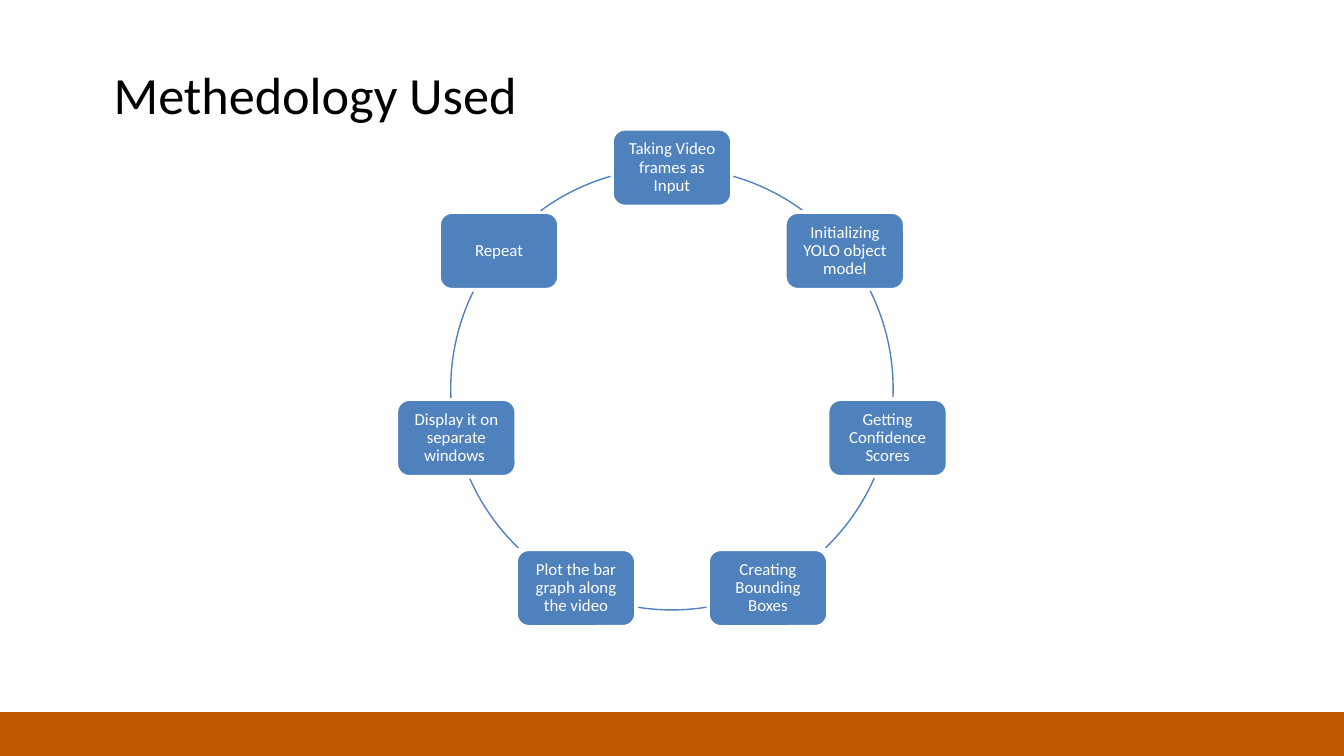
"""Build a slide that shows the seven steps of a method as a cycle."""
import math

import pptx
import pptx.dml.color
import pptx.enum.shapes
import pptx.enum.text
import pptx.util

Cm = pptx.util.Cm
Pt = pptx.util.Pt
SHAPES = pptx.enum.shapes.MSO_SHAPE

STEPS = [
    "Taking Video frames as Input",
    "Initializing YOLO object model",
    "Getting Confidence Scores",
    "Creating Bounding Boxes",
    "Plot the bar graph along the video",
    "Display it on separate windows ",
    "Repeat",
]
SLIDE_WIDTH, SLIDE_HEIGHT = 25.4, 14.29
CENTER_X, CENTER_Y, RADIUS = 12.7, 7.35, 4.18
STEP_WIDTH, STEP_HEIGHT, GAP = 2.27, 1.47, 0.02


def color(code):
    return pptx.dml.color.RGBColor.from_string(code)


def write(frame, text, size=9, ink="FFFFFF", font="Calibri", align="CENTER",
          anchor="MIDDLE", spacing=0.9, inset=(0.1, 0.1)):
    frame.word_wrap = True
    frame.vertical_anchor = getattr(pptx.enum.text.MSO_ANCHOR, anchor)
    frame.margin_left = frame.margin_right = Cm(inset[0])
    frame.margin_top = frame.margin_bottom = Cm(inset[1])
    paragraph = frame.paragraphs[0]
    paragraph.alignment = getattr(pptx.enum.text.PP_ALIGN, align)
    paragraph.line_spacing = spacing
    run = paragraph.add_run()
    run.text = text
    run.font.size = Pt(size)
    run.font.name = font
    run.font.color.rgb = color(ink)


def ring_point(degrees):
    angle = math.radians(degrees)
    return CENTER_X + RADIUS * math.cos(angle), CENTER_Y + RADIUS * math.sin(angle)


def ring_exit(degrees, direction):
    x, y = ring_point(degrees)
    angle = degrees
    while True:
        ring_x, ring_y = ring_point(angle)
        if (abs(ring_x - x) > STEP_WIDTH / 2 + GAP
                or abs(ring_y - y) > STEP_HEIGHT / 2 + GAP):
            return angle
        angle += direction * 0.1


class CycleSlide:
    accent = "4F81BD"
    band = "BF5700"
    paper = "FFFFFF"

    def __init__(self, presentation):
        self.slide = presentation.slides.add_slide(presentation.slide_layouts[6])

    def shape(self, kind, left, top, width, height, fill=None, line=None, weight=1):
        shape = self.slide.shapes.add_shape(
            kind, Cm(left), Cm(top), Cm(width), Cm(height))
        shape.shadow.inherit = False
        if fill:
            shape.fill.solid()
            shape.fill.fore_color.rgb = color(fill)
        else:
            shape.fill.background()
        if line:
            shape.line.color.rgb = color(line)
            shape.line.width = Pt(weight)
        else:
            shape.line.fill.background()
        return shape

    def footer(self, top):
        self.shape(SHAPES.RECTANGLE, 0, top, SLIDE_WIDTH, SLIDE_HEIGHT - top,
                   fill=self.band)

    def title(self, text):
        heading = self.slide.shapes.add_textbox(
            Cm(1.9), Cm(1.04), Cm(12.27), Cm(1.45))
        write(heading.text_frame, text, size=28, ink="000000", align="LEFT",
              anchor="TOP", spacing=1.0, inset=(0.25, 0.13))

    def step(self, text, degrees):
        x, y = ring_point(degrees)
        step = self.shape(SHAPES.ROUNDED_RECTANGLE, x - STEP_WIDTH / 2,
                          y - STEP_HEIGHT / 2, STEP_WIDTH, STEP_HEIGHT,
                          fill=self.accent, line=self.paper, weight=2)
        write(step.text_frame, text)

    def link(self, start, end):
        link = self.shape(SHAPES.ARC, CENTER_X - RADIUS, CENTER_Y - RADIUS,
                          2 * RADIUS, 2 * RADIUS, line=self.accent, weight=0.75)
        for index, degrees in enumerate((start, end)):
            link.adjustments[index] = degrees % 360 * 0.6


def main():
    presentation = pptx.Presentation()
    presentation.slide_width = Cm(SLIDE_WIDTH)
    presentation.slide_height = Cm(SLIDE_HEIGHT)
    cycle = CycleSlide(presentation)
    cycle.footer(13.46)
    turn = 360 / len(STEPS)
    for index, text in enumerate(STEPS):
        degrees = index * turn - 90
        cycle.step(text, degrees)
        cycle.link(ring_exit(degrees, 1), ring_exit(degrees + turn, -1))
    cycle.title("Methedology Used")
    presentation.save("out.pptx")


if __name__ == "__main__":
    main()
